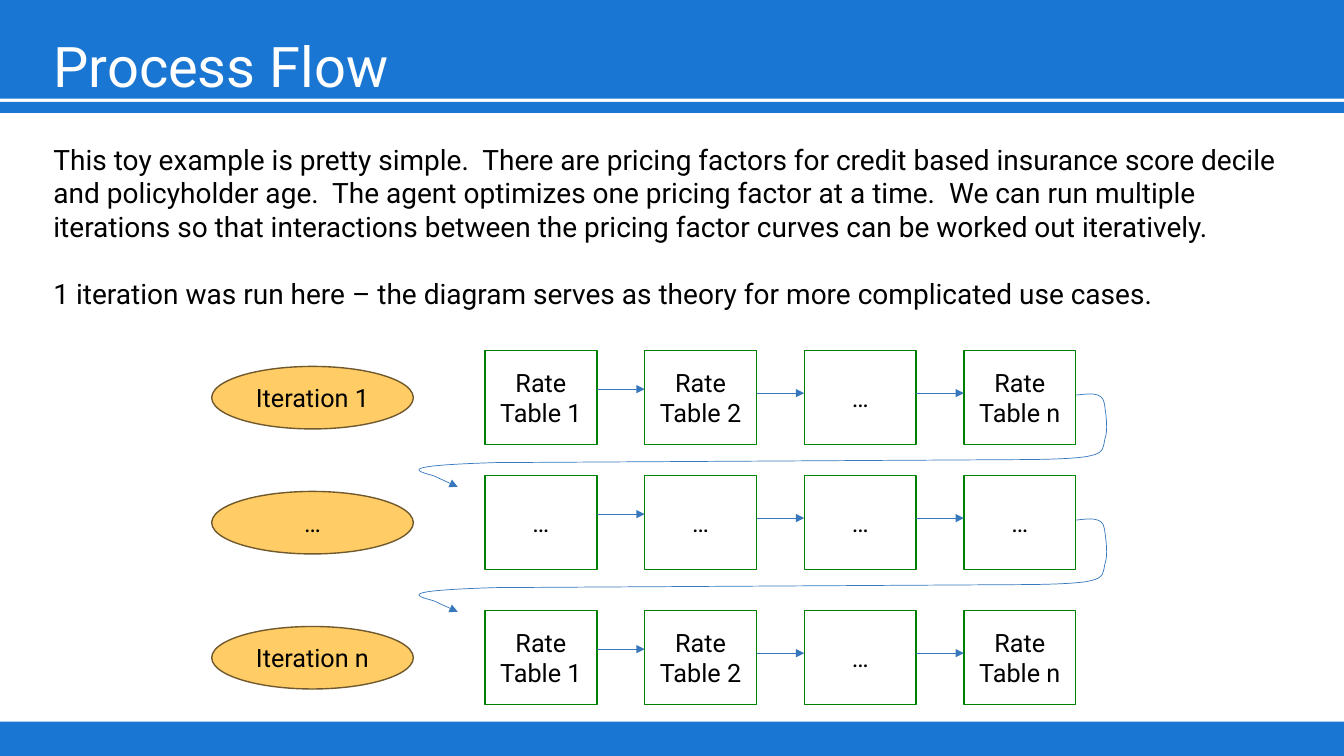
from lxml import etree
from pptx import Presentation
from pptx import util as u
from pptx.dml.color import RGBColor
from pptx.enum import shapes, text
from pptx.oxml import ns

BLUE = RGBColor(0x19, 0x76, 0xD2)
ARROW_BLUE = RGBColor(0x37, 0x77, 0xBC)
GREEN = RGBColor(0x00, 0x80, 0x00)
AMBER = RGBColor(0xFF, 0xCC, 0x66)
BROWN = RGBColor(0x70, 0x59, 0x2D)
WHITE = RGBColor(0xFF, 0xFF, 0xFF)
BLACK = RGBColor(0x00, 0x00, 0x00)
FONT = "Roboto"
WIDTH, HEIGHT = 13.33, 7.5

# Flow grid, in inches
LEFT, LAST_LEFT = 4.81, 9.56
PITCH = (LAST_LEFT - LEFT) / 3
BOX_W, BOX_H = 1.11, 0.93
OVAL_LEFT, OVAL_W, OVAL_H = 2.1, 2, 0.62
ROWS = [
    (3.48, "Iteration 1", ["Rate Table 1", "Rate Table 2", "…", "Rate Table n"]),
    (4.72, "…", ["…"] * 4),
    (6.06, "Iteration n", ["Rate Table 1", "Rate Table 2", "…", "Rate Table n"]),
]

# Return path, measured from the top left of a row's first box
RETURN_BOX = (-0.66, 0.43, 6.82, 0.81)
RETURN_STEPS = [
    ("moveTo", [(5.86, 0.44)]),
    ("cubicBezTo", [(5.95, 0.43), (6.03, 0.42), (6.08, 0.44)]),
    ("cubicBezTo", [(6.13, 0.46), (6.14, 0.49), (6.15, 0.57)]),
    ("cubicBezTo", [(6.16, 0.64), (6.18, 0.79), (6.15, 0.87)]),
    ("cubicBezTo", [(6.13, 0.95), (6.15, 1.01), (6.01, 1.04)]),
    ("cubicBezTo", [(5.88, 1.08), (5.33, 1.08), (5.33, 1.08)]),
    ("lnTo", [(0.10, 1.11)]),
    ("cubicBezTo", [(-0.88, 1.14), (-0.69, 1.19), (-0.51, 1.24)]),
]
RETURN_END, RETURN_TIP = (-0.51, 1.24), (-0.27, 1.35)
UNITS = 1000  # outline units per inch

INTRO = [
    "This toy example is pretty simple.  There are pricing factors for credit "
    "based insurance score decile and policyholder age.  The agent optimizes "
    "one pricing factor at a time.  We can run multiple iterations so that "
    "interactions between the pricing factor curves can be worked out "
    "iteratively.",
    "1 iteration was run here – the diagram serves as theory for more "
    "complicated use cases.",
]


def inches(*lengths):
    return [u.Inches(length) for length in lengths]


def add_text(para, words, size, color):
    span = para.add_run()
    span.text = words
    span.font.name = FONT
    span.font.size = u.Pt(size)
    span.font.color.rgb = color


def add_block(page, kind, place, fill, line=None, label=None):
    block = page.shapes.add_shape(kind, *inches(*place))
    block.shadow.inherit = False
    block.fill.solid()
    block.fill.fore_color.rgb = fill
    if line is None:
        block.line.fill.background()
    else:
        block.line.color.rgb = line
        block.line.width = u.Pt(1)
    if label:
        frame = block.text_frame
        frame.word_wrap = True
        frame.vertical_anchor = text.MSO_ANCHOR.MIDDLE
        frame.paragraphs[0].alignment = text.PP_ALIGN.CENTER
        add_text(frame.paragraphs[0], label, 18, BLACK)
    return block


def style_line(line):
    line.color.rgb = ARROW_BLUE
    line.width = u.Pt(0.5)


def add_arrow(page, start, end):
    arrow = page.shapes.add_connector(
        shapes.MSO_CONNECTOR.STRAIGHT, *inches(*start, *end))
    style_line(arrow.line)
    etree.SubElement(arrow.line._get_or_add_ln(), ns.qn("a:tailEnd"), type="triangle")
    etree.SubElement(arrow._element.spPr, ns.qn("a:effectLst"))


def add_bands(page):
    """Blue bars at the top and bottom, behind everything else."""
    for top, height in [(7.16, 0.34), (1.01, 0.11), (0, 0.98)]:
        band = add_block(page, shapes.MSO_SHAPE.RECTANGLE,
                         (0, top, WIDTH, height), BLUE)
        page.shapes._spTree.insert(2, band._element)


def place_holder(holder, place, anchor):
    holder.left, holder.top, holder.width, holder.height = inches(*place)
    frame = holder.text_frame
    frame.auto_size = text.MSO_AUTO_SIZE.NONE
    frame.word_wrap = True
    frame.vertical_anchor = anchor
    return frame


def fill_title(page, place):
    frame = place_holder(page.shapes.title, place, text.MSO_ANCHOR.MIDDLE)
    para = frame.paragraphs[0]
    para.alignment = text.PP_ALIGN.LEFT
    para.line_spacing = 1.2
    add_text(para, "Process Flow", 40, WHITE)


def fill_intro(page, place):
    frame = place_holder(page.placeholders[1], place, text.MSO_ANCHOR.TOP)
    for index, words in enumerate(INTRO):
        para = frame.add_paragraph() if index else frame.paragraphs[0]
        para.space_before = u.Pt(24 * index)
        # Plain paragraphs: no bullet, no hanging indent
        props = para._p.get_or_add_pPr()
        props.set("marL", "0")
        props.set("indent", "0")
        etree.SubElement(props, ns.qn("a:buNone"))
        add_text(para, words, 20, BLACK)


def add_row(page, top, name, labels):
    """One iteration: its oval, its boxes and the arrows between them."""
    add_block(page, shapes.MSO_SHAPE.OVAL,
              (OVAL_LEFT, top + (BOX_H - OVAL_H) / 2, OVAL_W, OVAL_H),
              AMBER, BROWN, name)
    for column, label in enumerate(labels):
        left = LEFT + column * PITCH
        add_block(page, shapes.MSO_SHAPE.RECTANGLE, (left, top, BOX_W, BOX_H),
                  WHITE, GREEN, label)
        if column:
            level = top + (0.38 if column == 1 else 0.42)
            add_arrow(page, (left - PITCH + BOX_W, level), (left, level))


def add_return(page, top):
    """Curved way from the end of a row to the start of the next."""
    x, y, width, height = RETURN_BOX
    corner = [round((LEFT + x) * UNITS), round((top + y) * UNITS)]
    builder = page.shapes.build_freeform(*corner, scale=u.Inches(1) / UNITS)
    builder.add_line_segments(
        [(corner[0] + width * UNITS, corner[1] + height * UNITS)], close=False)
    bend = builder.convert_to_shape()
    bend.shadow.inherit = False
    bend.fill.background()
    style_line(bend.line)
    # Draw the curves inside the box just made
    outline = bend._element.find(".//" + ns.qn("a:path"))
    for part in list(outline):
        outline.remove(part)
    for kind, points in RETURN_STEPS:
        step = etree.SubElement(outline, ns.qn("a:" + kind))
        for across, down in points:
            etree.SubElement(step, ns.qn("a:pt"),
                             x=str(round((across - x) * UNITS)),
                             y=str(round((down - y) * UNITS)))
    add_arrow(page, *[(LEFT + across, top + down)
                      for across, down in (RETURN_END, RETURN_TIP)])


def main():
    deck = Presentation()
    deck.slide_width, deck.slide_height = inches(WIDTH, HEIGHT)
    page = deck.slides.add_slide(deck.slide_layouts[1])
    add_bands(page)
    fill_title(page, (0.43, 0.15, 12.47, 0.86))
    fill_intro(page, (0.43, 1.36, 12.47, 1.78))
    for top, name, labels in ROWS:
        add_row(page, top, name, labels)
    for top, _, _ in ROWS[:-1]:
        add_return(page, top)
    deck.save("out.pptx")


if __name__ == "__main__":
    main()
